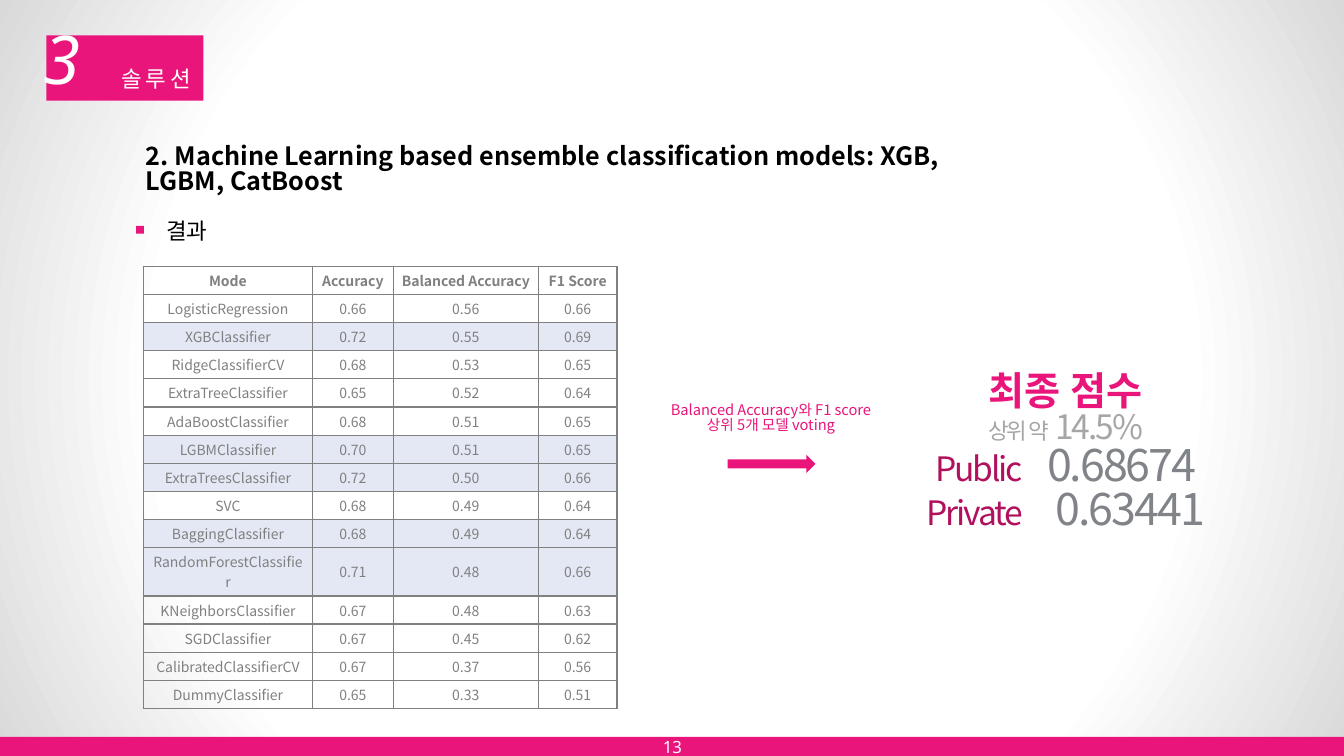
from pptx import Presentation, util as u
from pptx.dml.color import RGBColor
from pptx.enum import shapes, text
from pptx.oxml import parse_xml
from pptx.oxml.ns import nsdecls, qn

PINK = RGBColor(0xEA, 0x15, 0x7A)
PLUM = RGBColor(0xB0, 0x10, 0x5C)
WHITE = RGBColor(0xFF, 0xFF, 0xFF)
BLACK = RGBColor(0, 0, 0)
GRAY = RGBColor(0x80, 0x80, 0x80)
SILVER = RGBColor(0xA6, 0xA6, 0xA6)
SLATE = RGBColor(0x80, 0x83, 0x88)
PALE_BLUE = RGBColor(0xE3, 0xE8, 0xF4)
EDGE_GRAY = RGBColor(0xD9, 0xD9, 0xD9)
SANS = "Noto Sans"
CJK = "Noto Sans CJK KR"
CENTER = text.PP_ALIGN.CENTER
LEFT = text.PP_ALIGN.LEFT
MIDDLE = text.MSO_ANCHOR.MIDDLE
TOP = text.MSO_ANCHOR.TOP
TIGHT = 0.82

HEADER = ("Mode", "Accuracy", "Balanced Accuracy", "F1 Score")
SCORES = [
    ("LogisticRegression", "0.66", "0.56", "0.66"),
    ("XGBClassifier", "0.72", "0.55", "0.69"),
    ("RidgeClassifierCV", "0.68", "0.53", "0.65"),
    ("ExtraTreeClassifier", "0.65", "0.52", "0.64"),
    ("AdaBoostClassifier", "0.68", "0.51", "0.65"),
    ("LGBMClassifier", "0.70", "0.51", "0.65"),
    ("ExtraTreesClassifier", "0.72", "0.50", "0.66"),
    ("SVC", "0.68", "0.49", "0.64"),
    ("BaggingClassifier", "0.68", "0.49", "0.64"),
    ("RandomForestClassifier", "0.71", "0.48", "0.66"),
    ("KNeighborsClassifier", "0.67", "0.48", "0.63"),
    ("SGDClassifier", "0.67", "0.45", "0.62"),
    ("CalibratedClassifierCV", "0.67", "0.37", "0.56"),
    ("DummyClassifier", "0.65", "0.33", "0.51"),
]
VOTERS = {"XGBClassifier", "LGBMClassifier", "ExtraTreesClassifier",
          "BaggingClassifier", "RandomForestClassifier"}


def write(para, words, size=10, color=GRAY, font=CJK, bold=False, italic=False,
          spacing=0, align=CENTER, line=1.0):
    para.alignment = align
    para.line_spacing = line
    para.space_before = u.Pt(0)
    span = para.add_run()
    span.text = words
    span.font.size = u.Pt(size)
    span.font.name = font
    span.font.bold = bold
    span.font.italic = italic
    span.font.color.rgb = color
    props = span.font._element
    props.set("spc", str(int(spacing * 100)))
    props.find(qn("a:latin")).addnext(
        parse_xml(f'<a:ea {nsdecls("a")} typeface="{font}"/>'))


class SlideBuilder:
    def __init__(self, deck):
        self.slide = deck.slides.add_slide(deck.slide_layouts[1])

    def background(self, center, edge):
        stops = "".join(
            f'<a:gs pos="{place * 1000}"><a:srgbClr val="{color}"/></a:gs>'
            for place, color in ((0, center), (67, center), (100, edge)))
        self.slide.element.cSld.insert(0, parse_xml(
            f'<p:bg {nsdecls("p", "a")}><p:bgPr><a:gradFill rotWithShape="1">'
            f'<a:gsLst>{stops}</a:gsLst><a:path path="circle">'
            '<a:fillToRect l="50000" t="50000" r="50000" b="50000"/></a:path>'
            '</a:gradFill><a:effectLst/></p:bgPr></p:bg>'))

    def shape(self, kind, *area):
        shape = self.slide.shapes.add_shape(kind, *map(u.Cm, area))
        shape.shadow.inherit = False
        shape.fill.solid()
        shape.fill.fore_color.rgb = PINK
        shape.line.fill.background()

    def frame(self, box, anchor=MIDDLE, wrap=True):
        frame = box.text_frame
        frame.word_wrap = wrap
        frame.auto_size = text.MSO_AUTO_SIZE.NONE
        frame.vertical_anchor = anchor
        return frame

    def text(self, area, *lines, anchor=MIDDLE, wrap=True, **style):
        box = self.slide.shapes.add_textbox(*map(u.Cm, area))
        frame = self.frame(box, anchor, wrap)
        for index, spans in enumerate(lines):
            para = frame.add_paragraph() if index else frame.paragraphs[0]
            for words, changes in spans:
                write(para, words, **{**style, **changes})

    def placeholder(self, index, area, words, **style):
        box = self.slide.placeholders[index]
        box.left, box.top, box.width, box.height = map(u.Cm, area)
        para = self.frame(box).paragraphs[0]
        write(para, words, **style)
        props = para._p.get_or_add_pPr()
        props.set("marL", "0")
        props.set("indent", "0")
        props.append(parse_xml(f'<a:buNone {nsdecls("a")}/>'))

    def table(self, left, top, widths, row_height, rows, marked):
        grid = self.slide.shapes.add_table(
            len(rows), len(widths), u.Cm(left), u.Cm(top),
            u.Cm(sum(widths)), u.Cm(row_height * len(rows))).table
        grid.first_row = grid.horz_banding = False
        for column, width in zip(grid.columns, widths):
            column.width = u.Cm(width)
        for row_index, values in enumerate(rows):
            grid.rows[row_index].height = u.Cm(row_height)
            for column_index, value in enumerate(values):
                cell = grid.cell(row_index, column_index)
                self.cell(cell, value, row_index == 0, values[0] in marked)

    def cell(self, cell, value, bold, marked):
        cell.vertical_anchor = MIDDLE
        cell.margin_left = cell.margin_right = u.Cm(0.2)
        cell.margin_top = cell.margin_bottom = u.Cm(0.1)
        write(cell.text_frame.paragraphs[0], value, bold=bold)
        for side in "LRTB":
            cell._tc.get_or_add_tcPr().append(parse_xml(
                f'<a:ln{side} {nsdecls("a")} w="{u.Pt(1)}"><a:solidFill>'
                f'<a:srgbClr val="{GRAY}"/></a:solidFill></a:ln{side}>'))
        if marked:
            cell.fill.solid()
            cell.fill.fore_color.rgb = PALE_BLUE
        else:
            cell.fill.background()


def score_line(label, gap, score):
    return [(label, {"color": PLUM}), (" ", {"size": 32, "spacing": gap}),
            (score, {"size": 32, "color": SLATE})]


def main():
    deck = Presentation()
    deck.slide_width, deck.slide_height = u.Cm(33.87), u.Cm(19.05)
    page = SlideBuilder(deck)
    rectangle = shapes.MSO_SHAPE.RECTANGLE

    page.background(WHITE, EDGE_GRAY)
    page.shape(rectangle, -0.03, 18.57, 34.01, 0.5)
    page.text((12.6, 18.31, 8.69, 1.02), [("13", {})],
              size=12, font=SANS, color=WHITE)

    page.shape(rectangle, 1.17, 0.89, 3.96, 1.65)
    page.text((0.3, -0.05, 2.51, 3), [("3", {})],
              size=48, font=SANS, color=WHITE, italic=True, spacing=6)
    page.placeholder(0, (2.54, 1.4, 2.79, 1.17), "솔루션",
                     size=16, font=SANS, color=WHITE, spacing=3)
    tree = page.slide.shapes._spTree
    tree.append(page.slide.shapes.title._element)

    page.text((3.43, 3.48, 22.3, 1.65),
              [("2. Machine Learning based ensemble classification models: "
                "XGB, LGBM, CatBoost", {})],
              size=18, color=BLACK, bold=True, align=LEFT, line=TIGHT)
    page.placeholder(1, (3.94, 4.98, 15.8, 1.65), "결과",
                     size=16, color=BLACK, align=LEFT)
    page.shape(rectangle, 3.43, 5.69, 0.2, 0.2)

    page.table(3.61, 6.71, (4.27, 2.03, 3.66, 1.98), 0.69,
               [HEADER] + SCORES, VOTERS)

    page.shape(shapes.MSO_SHAPE.RIGHT_ARROW, 18.34, 11.46, 2.21, 0.46)
    page.text((16.61, 10.06, 5.64, 1.6),
              [("Balanced Accuracy와 F1 score", {})],
              [("상위 5개 모델 voting", {})],
              anchor=TOP, size=10.5, color=PINK, line=TIGHT)
    page.text((21.26, 9.63, 11.2, 3.63),
              [("최종 점수", {"size": 28, "font": SANS, "color": PINK,
                          "bold": True, "spacing": 0})],
              [("상위 약", {"size": 16}), (" ", {"size": 16, "spacing": 1}),
               ("14.5%", {})],
              score_line("Public", 10, "0.68674"),
              score_line("Private", 16, "0.63441"),
              wrap=False, size=24, color=SILVER, spacing=-1.5, line=TIGHT)

    deck.save("out.pptx")


if __name__ == "__main__":
    main()
